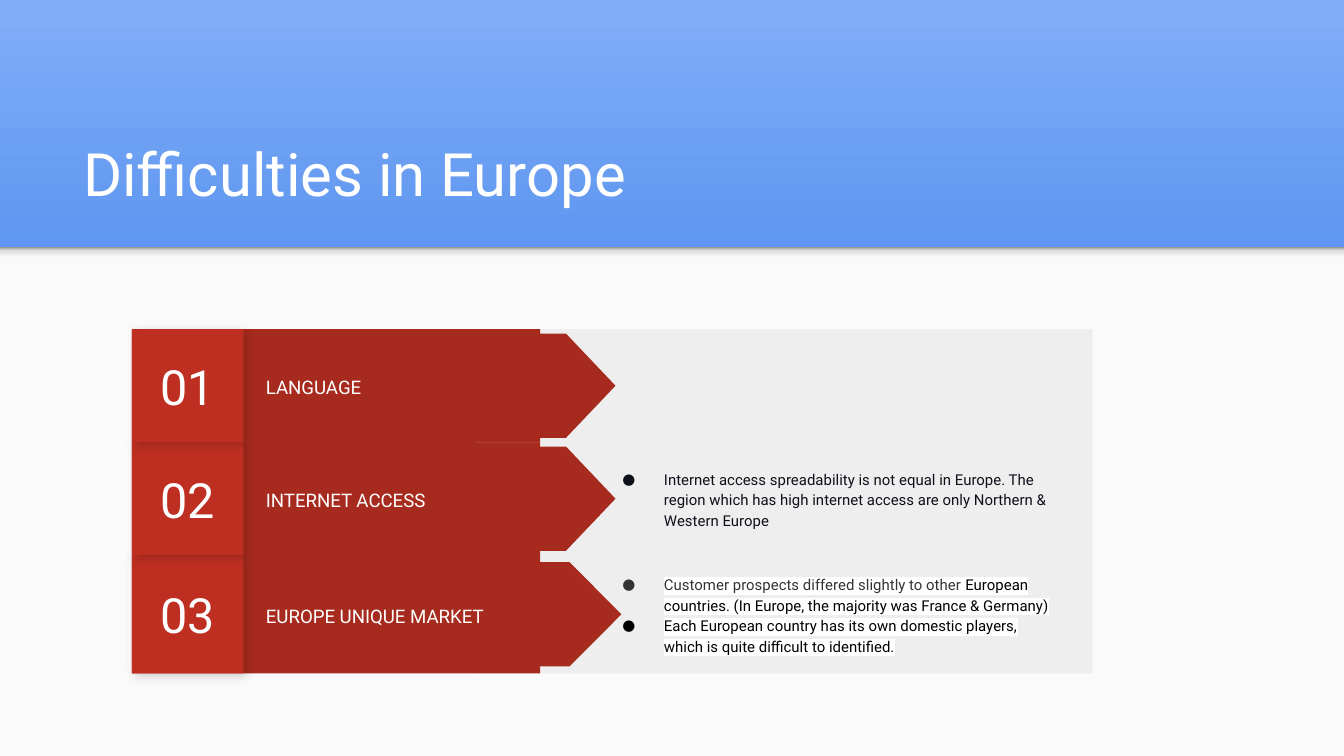
from dataclasses import dataclass
from typing import Any

from lxml.etree import SubElement
from pptx import Presentation
from pptx.dml.color import RGBColor
from pptx.enum.shapes import MSO_SHAPE
from pptx.enum.text import MSO_ANCHOR, MSO_AUTO_SIZE, PP_ALIGN
from pptx.oxml.ns import qn
from pptx.util import Pt

FONT = "Roboto"
WHITE, BLACK = "FFFFFF", "000000"
PANEL, RED, BRIGHT_RED, SHADED_RED = "EEEEEE", "A72A1E", "BE2F22", "B02C20"
PAGE_WIDTH, PAGE_HEIGHT, HEADER_HEIGHT = 720, 405, 132.5
INSET = 7.2
ARROW_CENTER, ARROW_RATIO, ARROW_THICKNESS = 263.5, 2.19, 55.8
FRAME_FORMAT = {
    "word_wrap": True,
    "auto_size": MSO_AUTO_SIZE.NONE,
    "vertical_anchor": MSO_ANCHOR.MIDDLE,
    "margin_left": Pt(INSET),
    "margin_right": Pt(INSET),
    "margin_top": Pt(INSET),
    "margin_bottom": Pt(INSET),
}


@dataclass(frozen=True)
class Span:
    text: str
    color: str
    highlight: str = ""


@dataclass(frozen=True)
class Row:
    number: str
    label: str
    top: float
    height: float
    bullets: tuple[tuple[Span, ...], ...] = ()


ROWS = (
    Row("01", "LANGUAGE", 176.4, 60.5),
    Row("02", "INTERNET ACCESS", 236.9, 60.5, (
        (Span("Internet access spreadability is not equal in Europe. The region which "
              "has high internet access are only Northern & Western Europe", "0E101A"),),
    )),
    Row("03", "EUROPE UNIQUE MARKET", 297.4, 63.4, (
        (Span("Customer prospects differed slightly to other ", "333333", WHITE),
         Span("European countries. (In Europe, the majority was France & Germany)",
              BLACK, WHITE)),
        (Span("Each European country has its own domestic players, which is quite "
              "difficult to identified.", BLACK, WHITE),),
    )),
)


def rgb(color: str) -> RGBColor:
    return RGBColor.from_string(color)


def apply(target: Any, values: dict[str, Any]) -> None:
    for name, value in values.items():
        setattr(target, name, value)


def place(box: Any, left: float, top: float, width: float, height: float) -> None:
    apply(box, {"left": Pt(left), "top": Pt(top), "width": Pt(width), "height": Pt(height)})


def paint_gradient(fill: Any, element: Any, stops: dict[int, str], angle: int) -> None:
    """Fill with stops keyed by percent; the angle runs counter-clockwise."""
    fill.gradient()
    fill.gradient_angle = angle
    stop_list = element.find(".//" + qn("a:gsLst"))
    for stop in list(stop_list):
        stop_list.remove(stop)
    for percent, color in stops.items():
        stop = SubElement(stop_list, qn("a:gs"), pos=str(percent * 1000))
        SubElement(stop, qn("a:srgbClr"), val=color)


def add_block(shapes: Any, left: float, top: float, width: float, height: float,
              color: str, kind: MSO_SHAPE = MSO_SHAPE.RECTANGLE) -> Any:
    block = shapes.add_shape(kind, Pt(left), Pt(top), Pt(width), Pt(height))
    block.fill.solid()
    block.fill.fore_color.rgb = rgb(color)
    block.line.fill.background()
    block.shadow.inherit = False
    return block


def add_shadow(block: Any) -> None:
    effects = block.element.spPr.find(qn("a:effectLst"))
    shadow = SubElement(effects, qn("a:outerShdw"), blurRad=str(Pt(5.6)), dist=str(Pt(2.2)),
                        dir=str(45 * 60000), algn="bl", rotWithShape="0")
    color = SubElement(shadow, qn("a:srgbClr"), val=BLACK)
    SubElement(color, qn("a:alpha"), val="17000")


def add_span(para: Any, span: Span, size: float) -> None:
    run = para.add_run()
    run.text = span.text
    apply(run.font, {"size": Pt(size), "name": FONT})
    run.font.color.rgb = rgb(span.color)
    if span.highlight:
        fill = run.font._element.find(qn("a:solidFill"))
        mark = SubElement(run.font._element, qn("a:highlight"))
        SubElement(mark, qn("a:srgbClr"), val=span.highlight)
        fill.addnext(mark)


def write_line(box: Any, text: str, size: float, **para_format: Any) -> None:
    apply(box.text_frame, FRAME_FORMAT)
    para = box.text_frame.paragraphs[0]
    apply(para, para_format)
    add_span(para, Span(text, WHITE), size)


def add_bullet(para: Any, color: str) -> None:
    properties = para._p.get_or_add_pPr()
    apply_indent = {"marL": str(Pt(36)), "indent": str(-Pt(22.3))}
    for name, value in apply_indent.items():
        properties.set(name, value)
    SubElement(SubElement(properties, qn("a:buClr")), qn("a:srgbClr"), val=color)
    SubElement(properties, qn("a:buFont"), typeface=FONT)
    SubElement(properties, qn("a:buChar"), char="●")


def write_list(box: Any, row: Row) -> None:
    place(box, 312.5, row.top, 257, row.height)
    frame = box.text_frame
    apply(frame, FRAME_FORMAT)
    for index, spans in enumerate(row.bullets):
        para = frame.add_paragraph() if index else frame.paragraphs[0]
        apply(para, {"line_spacing": 1.15, "space_before": Pt(0), "alignment": PP_ALIGN.LEFT})
        add_bullet(para, spans[0].color)
        for span in spans:
            add_span(para, span, 8)


def draw_row(page: Any, row: Row) -> None:
    shapes = page.shapes.add_group_shape().shapes
    add_block(shapes, 254.9, row.top, 330.5, row.height, PANEL)
    add_block(shapes, 130.3, row.top, 159.1, row.height, RED)

    length = ARROW_RATIO * row.height
    middle = row.top + row.height / 2
    arrow = add_block(shapes, ARROW_CENTER - ARROW_THICKNESS / 2, middle - length / 2,
                      ARROW_THICKNESS, length, RED, MSO_SHAPE.FLOWCHART_OFFPAGE_CONNECTOR)
    arrow.rotation = 270

    label = shapes.add_textbox(Pt(135.4), Pt(row.top + INSET), Pt(167.8),
                               Pt(row.height - 2 * INSET))
    write_line(label, row.label, 10, line_spacing=1.15)

    square = (70.6, row.top, 59.8, row.height)
    add_shadow(add_block(shapes, *square, SHADED_RED))
    write_line(add_block(shapes, *square, BRIGHT_RED), row.number, 26,
               alignment=PP_ALIGN.CENTER)


def draw_backdrop(page: Any) -> None:
    paint_gradient(page.background.fill, page.element, {0: "81AEF8", 100: "1663DF"}, 270)
    add_block(page.shapes, 0, HEADER_HEIGHT, PAGE_WIDTH, PAGE_HEIGHT - HEADER_HEIGHT, "FAFAFA")
    edge = add_block(page.shapes, 0, HEADER_HEIGHT, PAGE_WIDTH, 8.6, "F9F9F9")
    paint_gradient(edge.fill, edge.element,
                   {0: "F9F9F9", 36: "F9F9F9", 80: "DEDEDE", 100: "999999"}, 90)


def main() -> None:
    deck = Presentation()
    apply(deck, {"slide_width": Pt(PAGE_WIDTH), "slide_height": Pt(PAGE_HEIGHT)})
    page = deck.slides.add_slide(deck.slide_layouts.get_by_name("Two Content"))
    title, *list_boxes = list(page.placeholders)[:3]

    draw_backdrop(page)
    place(title, 37.4, 58.3, 647.3, 60.5)
    write_line(title, "Difficulties in Europe", 32, alignment=PP_ALIGN.LEFT)
    title.text_frame.vertical_anchor = MSO_ANCHOR.BOTTOM

    for row in reversed(ROWS):
        draw_row(page, row)
    for box, row in zip(list_boxes, (row for row in ROWS if row.bullets)):
        write_list(box, row)
    for box in (title, *list_boxes):
        page.shapes._spTree.append(box.element)  # bring in front of the blocks

    deck.save("out.pptx")


if __name__ == "__main__":
    main()
